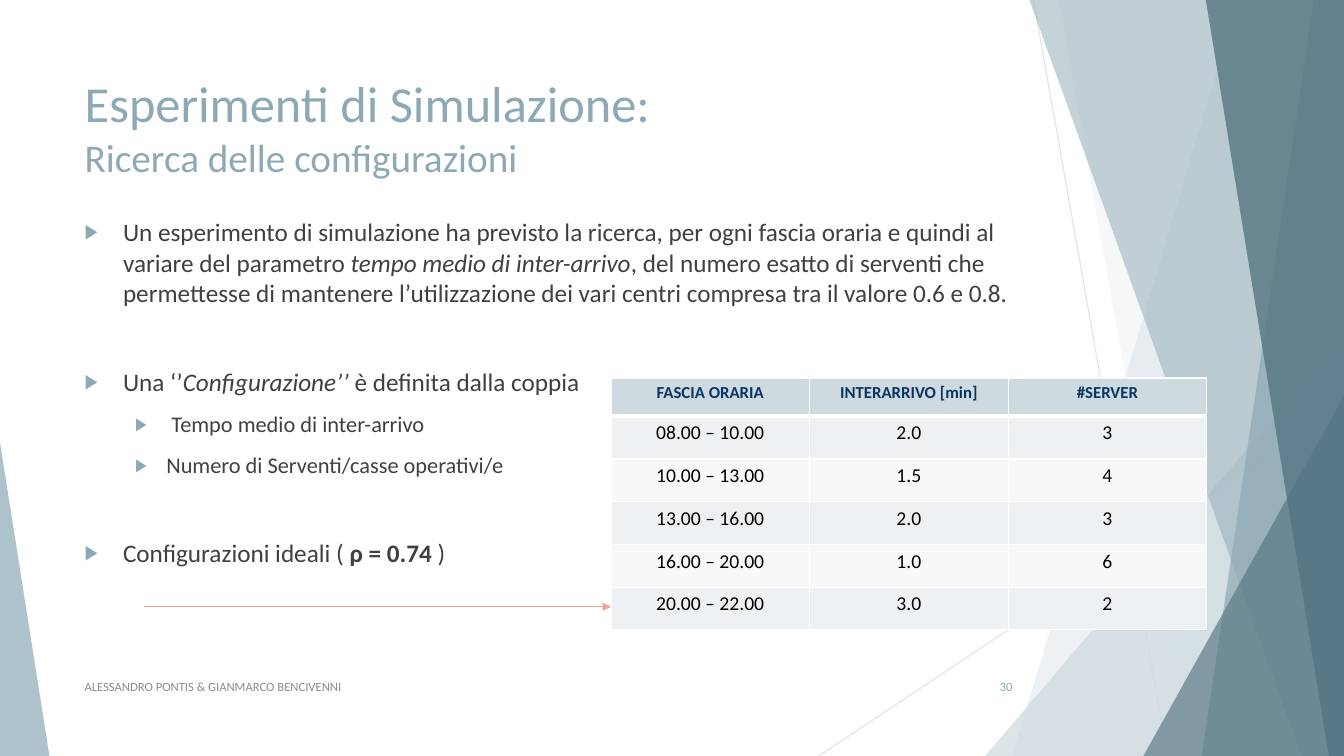
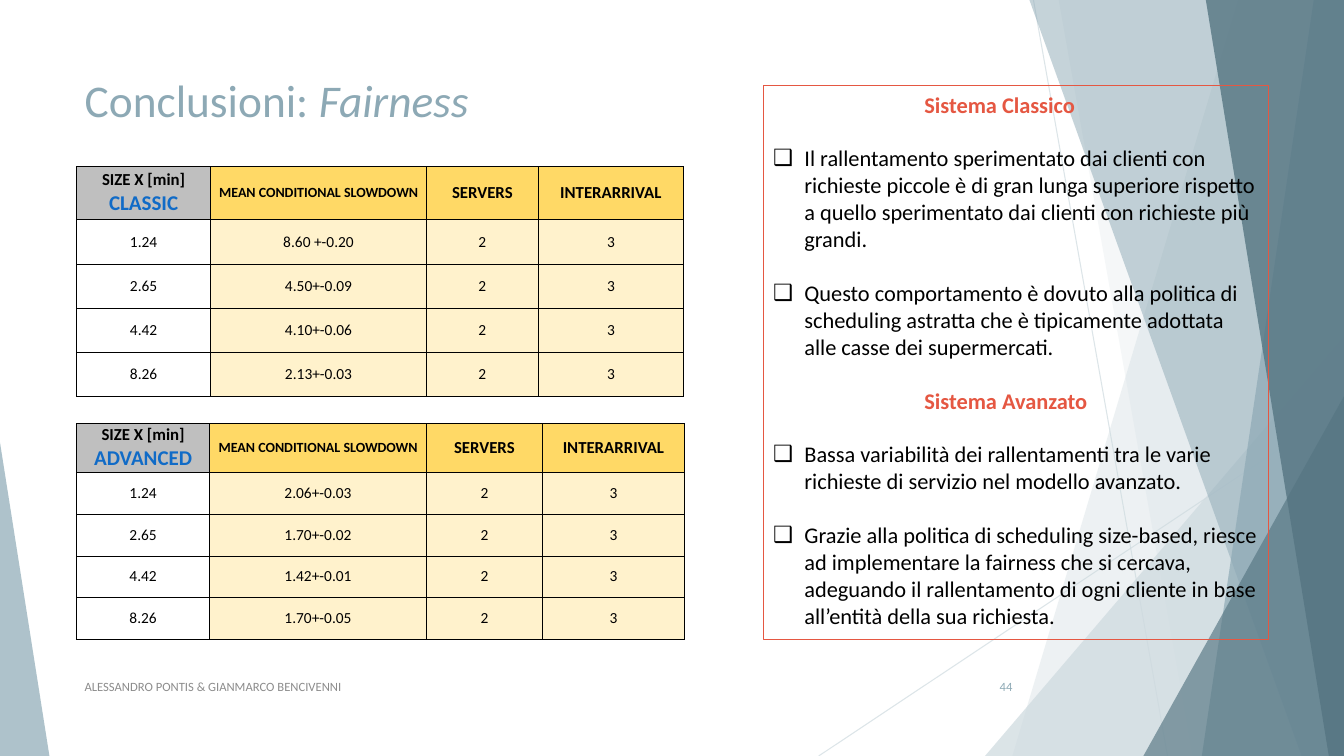
from lxml.etree import SubElement
from pptx import Presentation
from pptx.dml.color import RGBColor
from pptx.enum.shapes import MSO_CONNECTOR, MSO_SHAPE
from pptx.enum.text import MSO_ANCHOR, MSO_AUTO_SIZE, PP_ALIGN
from pptx.oxml.ns import qn
from pptx.util import Inches, Pt

STRAIGHT = MSO_CONNECTOR.STRAIGHT
TRIANGLE, RECT = MSO_SHAPE.ISOSCELES_TRIANGLE, MSO_SHAPE.RECTANGLE
TOP, MIDDLE = MSO_ANCHOR.TOP, MSO_ANCHOR.MIDDLE
LEFT, CENTER, RIGHT = PP_ALIGN.LEFT, PP_ALIGN.CENTER, PP_ALIGN.RIGHT
FIXED = MSO_AUTO_SIZE.NONE


class Theme:
    font = "Calibri"
    pale, mid, deep = "CEDADF", "8DA9B5", "557582"
    ink, body, gray = "000000", "404040", "8C8C8C"
    white, navy, blue = "FFFFFF", "083663", "106BC7"
    coral, blush = "E55742", "F1A499"
    odd, even = "EDF1F3", "F6F8F9"
    steel, gold, cream = "BFBFBF", "FFD966", "FFF2CC"
    head, sub, lone = 36, 28, 32.4
    text, small, foot = 18, 16, 9
    wide, high = 13.33, 7.5


def put(par, parts, size, hue, align=LEFT, mark=None, tint=Theme.ink, scale=100, left=0, hang=0):
    props = par._p.get_or_add_pPr()
    props.set("marL", str(Inches(left)))
    props.set("indent", str(-Inches(hang)))
    par.alignment = align
    if mark:
        color = SubElement(props, qn("a:buClr"))
        SubElement(color, qn("a:srgbClr"), val=tint)
        SubElement(props, qn("a:buSzPct"), val=str(scale * 1000))
        SubElement(props, qn("a:buFont"), typeface="Arial")
        SubElement(props, qn("a:buChar"), char=mark)
    for words, style in parts:
        run = par.add_run()
        run.text = words
        run.font.name = Theme.font
        run.font.size = Pt(size)
        run.font.bold = "b" in style
        run.font.italic = "i" in style
        run.font.color.rgb = RGBColor.from_string(hue)


def grid(slide, left, top, cols, tall, head, data, look, edge, width, rule, pads, anchor):
    count = len(data)
    frame = slide.shapes.add_table(count, len(cols), Inches(left), Inches(top), Inches(sum(cols)), Inches(tall))
    table = frame.table
    table.horz_banding = False
    for col, size in zip(table.columns, cols):
        col.width = Inches(size)
    for r, row in enumerate(data):
        table.rows[r].height = Inches(head if r == 0 else (tall - head) / (count - 1))
        for c, words in enumerate(row):
            cell = table.cell(r, c)
            cell.vertical_anchor = anchor
            cell.margin_left = cell.margin_right = Inches(pads[0])
            cell.margin_top = cell.margin_bottom = Inches(pads[1])
            props = cell._tc.get_or_add_tcPr()
            for side in "LRTB":
                thick = rule if (r, side) in ((0, "B"), (1, "T")) else width
                line = SubElement(props, qn("a:ln" + side), w=str(Pt(thick)))
                SubElement(SubElement(line, qn("a:solidFill")), qn("a:srgbClr"), val=edge)
            fill, lines = look(r, c)
            if fill:
                cell.fill.solid()
                cell.fill.fore_color.rgb = RGBColor.from_string(fill)
            else:
                cell.fill.background()
            for n, (part, (size, hue)) in enumerate(zip(words.split("\n"), lines)):
                par = cell.text_frame.add_paragraph() if n else cell.text_frame.paragraphs[0]
                put(par, [(part, "b" if r == 0 else "")], size, hue, CENTER)


deck = Presentation()
deck.slide_width, deck.slide_height = Inches(Theme.wide), Inches(Theme.high)
plan = deck.slides.add_slide(deck.slide_layouts[1])
close = deck.slides.add_slide(deck.slide_layouts[5])

decor = []
for ends in ((10.25, 0, 11.58, 7.5), (13.33, 4.03, 8.12, 7.5)):
    line = plan.shapes.add_connector(STRAIGHT, *map(Inches, ends))
    line.line.width = Pt(0.75)
    line.line.color.rgb = RGBColor.from_string(Theme.pale)
    SubElement(line.element.spPr, qn("a:effectLst"))
    decor.append((line, 70))

bands = [
    (Theme.pale, 36, (12.28, 10.04)),
    (Theme.pale, 20, (10.5, 11.83)),
    (Theme.pale, 72, (9.77, 3.33, 3.56, 4.17, 1)),
    (Theme.mid, 50, (10.21, 12.91)),
    (Theme.mid, 70, (13.03, 11.92)),
    (Theme.deep, 80, (11.96, 13.18)),
    (Theme.deep, 66, (11.34, 3.93, 1.99, 3.57, 1)),
    (Theme.mid, 70, (0, 4.39, 0.49, 3.11, 0)),
]
for hue, alpha, spot in bands:
    if len(spot) == 2:
        upper, lower = spot
        corners = [(Theme.wide, 0), (Theme.wide, Theme.high), (lower, Theme.high)]
        pen = plan.shapes.build_freeform(Inches(upper), 0)
        pen.add_line_segments([(Inches(x), Inches(y)) for x, y in corners], close=True)
        band = pen.convert_to_shape()
    else:
        band = plan.shapes.add_shape(TRIANGLE, *map(Inches, spot[:4]))
        band.adjustments[0] = spot[4]
    band.shadow.inherit = False
    band.line.fill.background()
    band.fill.solid()
    band.fill.fore_color.rgb = RGBColor.from_string(hue)
    decor.append((band, alpha))

for n, (shape, alpha) in enumerate(decor):
    SubElement(shape.element.xpath(".//a:srgbClr")[0], qn("a:alpha"), val=str(alpha * 1000))
    shape.element.xpath(".//p:cNvPr")[0].set("id", str(100 + n))
    deck.slide_master.shapes.element.append(shape.element)

heads = [
    (plan, "30", (9.4, 1.44), [
        ([("Esperimenti di Simulazione:", "")], Theme.head),
        ([("Ricerca delle configurazioni", "")], Theme.sub),
    ]),
    (close, "44", (10.98, 0.98), [([("Conclusioni: ", ""), ("Fairness", "i")], Theme.lone)]),
]
for slide, page, size, lines in heads:
    title = slide.shapes.title
    title.left, title.top = Inches(0.74), Inches(0.67)
    title.width, title.height = map(Inches, size)
    frame = title.text_frame
    frame.auto_size = FIXED
    frame.vertical_anchor = TOP
    for n, (parts, points) in enumerate(lines):
        par = frame.add_paragraph() if n else frame.paragraphs[0]
        put(par, parts, points, Theme.mid)
    for left, width, words, hue, align in (
        (0.74, 6.89, "ALESSANDRO PONTIS & GIANMARCO BENCIVENNI", Theme.gray, LEFT),
        (9.39, 0.75, page, Theme.mid, RIGHT),
    ):
        note = slide.shapes.add_textbox(Inches(left), Inches(6.61), Inches(width), Inches(0.4))
        note.text_frame.word_wrap = True
        note.text_frame.vertical_anchor = MIDDLE
        put(note.text_frame.paragraphs[0], [(words, "")], Theme.foot, hue, align)

body = plan.placeholders[1]
body.left, body.top, body.width, body.height = map(Inches, (0.74, 2.1, 9.4, 4.24))
frame = body.text_frame
frame.auto_size = FIXED
points = [
    (0, 0, [
        ("Un esperimento di simulazione ha previsto la ricerca, per ogni fascia oraria e quindi al variare del parametro ", ""),
        ("tempo medio di inter-arrivo", "i"),
        (", del numero esatto di serventi che permettesse di mantenere l’utilizzazione dei vari centri compresa tra il valore 0.6 e 0.8.", ""),
    ]),
    (0, 42, [("Una ‘’", ""), ("Configurazione’’ ", "i"), ("è definita dalla coppia", "")]),
    (1, 10, [(" Tempo medio di inter-arrivo", "")]),
    (1, 10, [("Numero di Serventi/casse operativi/e", "")]),
    (0, 42, [("Configurazioni ideali ( ", ""), ("ρ = 0.74 ", "b"), (")", "")]),
]
for n, (level, gap, parts) in enumerate(points):
    par = frame.add_paragraph() if n else frame.paragraphs[0]
    par.level = level
    par.space_before = Pt(gap)
    size, left, hang = ((Theme.text, 0.38, 0.38), (Theme.small, 0.81, 0.31))[level]
    put(par, parts, size, Theme.body, mark="▶", tint=Theme.mid, scale=80, left=left, hang=hang)

hours = [
    ("FASCIA ORARIA", "INTERARRIVO [min]", "#SERVER"),
    ("08.00 – 10.00", "2.0", "3"),
    ("10.00 – 13.00", "1.5", "4"),
    ("13.00 – 16.00", "2.0", "3"),
    ("16.00 – 20.00", "1.0", "6"),
    ("20.00 – 22.00", "3.0", "2"),
]


grid(
    plan, 6.06, 3.75, [1.97] * 3, 2.5, 0.38, hours,
    lambda r, c: (Theme.odd if r % 2 else Theme.even, [(14, Theme.ink)]) if r else (Theme.pale, [(12, Theme.navy)]),
    Theme.white, 1, 3, (0.09, 0.05), TOP,
)

arrow = plan.shapes.add_connector(STRAIGHT, *map(Inches, (1.43, 6.02, 6.06, 6.02)))
arrow.line.width = Pt(1)
arrow.line.color.rgb = RGBColor.from_string(Theme.blush)
SubElement(arrow.line._get_or_add_ln(), qn("a:tailEnd"), type="triangle")
SubElement(arrow.element.spPr, qn("a:effectLst"))

sizes = ("1.24", "2.65", "4.42", "8.26")
tops = [
    (Theme.steel, [(12, Theme.ink), (15, Theme.blue)]),
    (Theme.gold, [(10, Theme.ink)]),
    (Theme.gold, [(12, Theme.ink)]),
    (Theme.gold, [(12, Theme.ink)]),
]
tests = [
    ("CLASSIC", 1.65, 2.28, 0.53, [1.33, 2.14, 1.11, 1.44],
     ("8.60 +-0.20", "4.50+-0.09", "4.10+-0.06", "2.13+-0.03")),
    ("ADVANCED", 4.2, 2.14, 0.49, [1.32, 2.15, 1.15, 1.41],
     ("2.06+-0.03", "1.70+-0.02", "1.42+-0.01", "1.70+-0.05")),
]
for name, top, tall, head, cols, means in tests:
    data = [("SIZE X [min]\n" + name, "MEAN CONDITIONAL SLOWDOWN", "SERVERS", "INTERARRIVAL")]
    data += [(size, mean, "2", "3") for size, mean in zip(sizes, means)]
    grid(
        close, 0.76, top, cols, tall, head, data,
        lambda r, c: (Theme.cream if c else None, [(11, Theme.ink)]) if r else tops[c],
        Theme.ink, 0.5, 0.5, (0.01, 0), MIDDLE,
    )

panel = close.shapes.add_shape(RECT, *map(Inches, (7.57, 0.85, 5.01, 5.49)))
panel.shadow.inherit = False
panel.fill.background()
panel.line.width = Pt(0.75)
panel.line.color.rgb = RGBColor.from_string(Theme.coral)
frame = panel.text_frame
frame.word_wrap = True
frame.vertical_anchor = TOP
views = [
    ("Sistema Classico", True),
    ("Il rallentamento sperimentato dai clienti con richieste piccole è di gran lunga superiore rispetto a quello sperimentato dai clienti con richieste più grandi.", False),
    ("Questo comportamento è dovuto alla politica di scheduling astratta che è tipicamente adottata alle casse dei supermercati.", False),
    ("Sistema Avanzato", True),
    ("Bassa variabilità dei rallentamenti tra le varie richieste di servizio nel modello avanzato.", False),
    ("Grazie alla politica di scheduling size-based, riesce ad implementare la fairness che si cercava, adeguando il rallentamento di ogni cliente in base all’entità della sua richiesta.", False),
]
for n, (words, main) in enumerate(views):
    par = frame.add_paragraph() if n else frame.paragraphs[0]
    par.space_before = Pt(19.3 if n else 0)
    if main:
        put(par, [(words, "b")], Theme.small, Theme.coral, left=1.5)
    else:
        put(par, [(words, "")], Theme.small, Theme.ink, mark="❑", left=0.31, hang=0.31)

deck.save("out.pptx")
